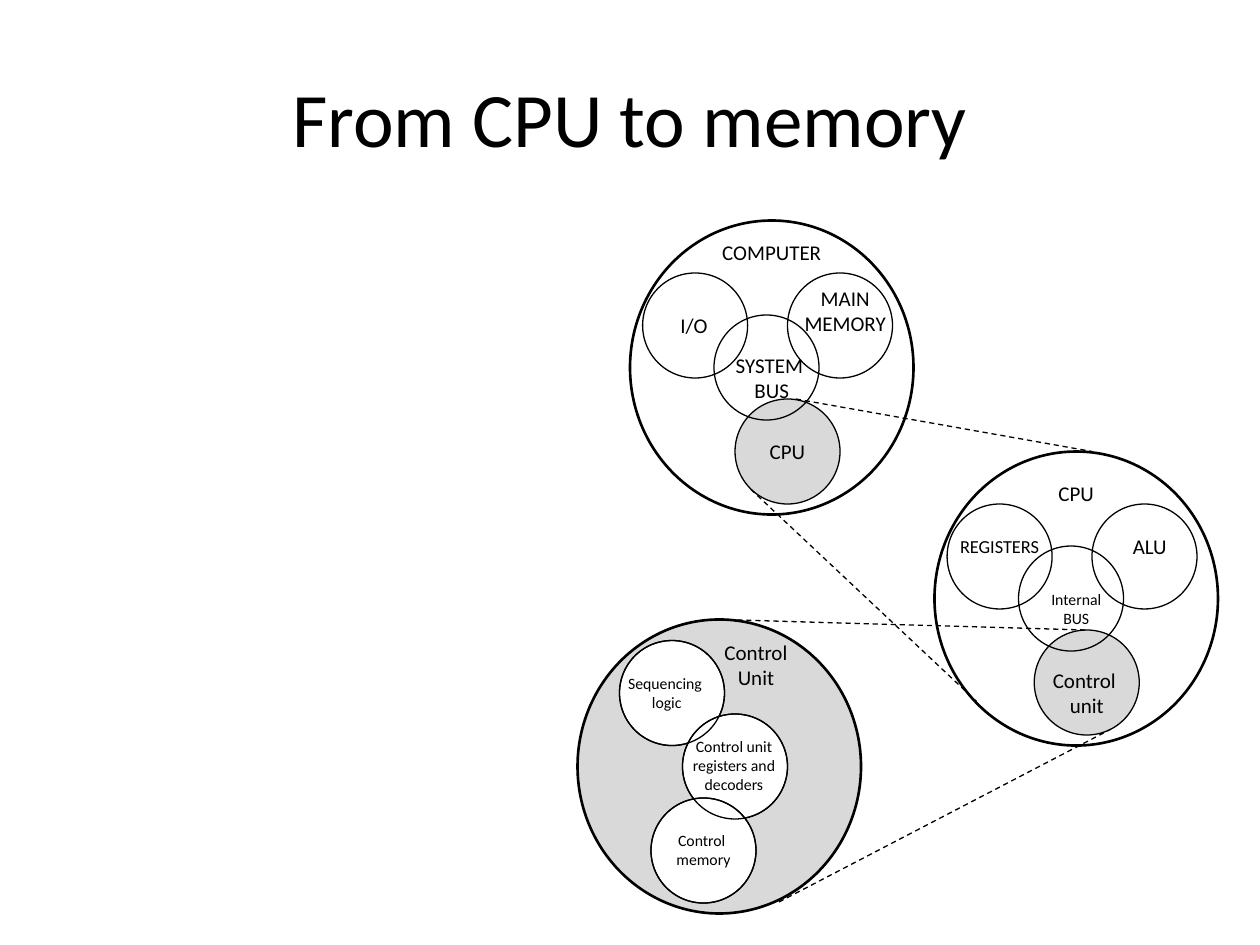
"""Build a slide that zooms from the computer to the CPU and its control unit."""
from lxml import etree
from pptx import Presentation
from pptx.dml.color import RGBColor
from pptx.enum.dml import MSO_LINE
from pptx.enum.shapes import MSO_CONNECTOR, MSO_SHAPE
from pptx.enum.text import MSO_ANCHOR, PP_ALIGN
from pptx.oxml.ns import qn
from pptx.util import Emu, Pt

ELLIPSE = MSO_SHAPE.OVAL
STRAIGHT = MSO_CONNECTOR.STRAIGHT
DASH = MSO_LINE.DASH
MIDDLE = MSO_ANCHOR.MIDDLE
CENTER = PP_ALIGN.CENTER

BLACK = RGBColor(0x00, 0x00, 0x00)
WHITE = RGBColor(0xFF, 0xFF, 0xFF)
GREY = RGBColor(0xD9, 0xD9, 0xD9)

FONT = "Calibri"
EMU_PER_PX = 914400 // 120
SYSTEM_SIZE = (270, 280)
PART_SIZE = (100, 100)
LABEL_SIZE = (130, 20)

COMPUTER_PARTS = [(612, 260, None), (750, 260, None), (700, 380, GREY), (680, 300, None)]
COMPUTER_LABELS = [
    ("COMPUTER", 670, 230, 12),
    ("MAIN MEMORY", 740, 286, 12),
    ("I/O", 596, 300, 12),
    ("SYSTEM \nBUS", 670, 350, 12),
    ("CPU", 685, 420, 12),
]
CPU_PARTS = [(902, 480, None), (1040, 480, None), (985, 600, GREY), (970, 520, None)]
CPU_LABELS = [
    ("CPU", 960, 460, 12),
    ("REGISTERS", 887, 510, 10.5),
    ("Internal\nBUS", 960, 570, 9),
    ("Control \nunit", 970, 650, 12),
    ("ALU", 1030, 510, 12),
]
CONTROL_SPOTS = [(590, 610), (650, 680), (620, 760)]
CONTROL_PARTS = [(*spot, fill) for fill in (WHITE, None) for spot in CONTROL_SPOTS]
CONTROL_LABELS = [
    ("Sequencing \nlogic", 570, 650, 9),
    ("Control unit registers and decoders", 634, 719, 9),
    ("Control \nmemory", 605, 799, 9),
    ("Control\nUnit", 655, 623, 12),
]
CPU_ZOOM = [(758, 380, 1040, 430), (715, 466, 930, 668)]
CONTROL_ZOOM = [(685, 590, 1034, 600), (742, 859, 1057, 695)]


def px(*lengths):
    """Turn pixel lengths into EMU."""
    return [Emu(length * EMU_PER_PX) for length in lengths]


def add_text(page, text, left, top, size=LABEL_SIZE, points=12):
    """Add centred text with one paragraph per line."""
    box = page.shapes.add_textbox(*px(left, top, *size))
    frame = box.text_frame
    frame.word_wrap = True
    frame.vertical_anchor = MIDDLE
    frame.text = text
    for para in frame.paragraphs:
        para.alignment = CENTER
        for span in para.runs:
            span.font.name = FONT
            span.font.size = Pt(points)
            span.font.color.rgb = BLACK


def add_circle(page, left, top, fill=None, size=PART_SIZE, weight=0.75):
    """Add an outlined circle, hollow unless a fill is given."""
    circle = page.shapes.add_shape(ELLIPSE, *px(left, top, *size))
    circle.shadow.inherit = False
    if fill is None:
        circle.fill.background()
    else:
        circle.fill.solid()
        circle.fill.fore_color.rgb = fill
    circle.line.color.rgb = BLACK
    circle.line.width = Pt(weight)


def add_zoom_line(page, ends):
    """Add a dashed line from a part to its enlarged view."""
    line = page.shapes.add_connector(STRAIGHT, *px(*ends))
    line.line.color.rgb = BLACK
    line.line.width = Pt(0.75)
    line.line.dash_style = DASH
    etree.SubElement(line._element.spPr, qn("a:effectLst"))


def add_system(page, left, top, parts, labels, fill=None, zoom=()):
    """Add a large circle with its zoom lines, parts and labels."""
    add_circle(page, left, top, fill, SYSTEM_SIZE, 1.5)
    for ends in zoom:
        add_zoom_line(page, ends)
    for part in parts:
        add_circle(page, *part)
    for text, label_left, label_top, points in labels:
        add_text(page, text, label_left, label_top, points=points)


def main():
    """Build the slide and save it."""
    deck = Presentation()
    deck.slide_width, deck.slide_height = px(1200, 900)
    page = deck.slides.add_slide(deck.slide_layouts[6])
    add_text(page, "From CPU to memory", 60, 36, size=(1080, 150), points=44)
    add_system(page, 600, 210, COMPUTER_PARTS, COMPUTER_LABELS)
    add_system(page, 890, 430, CPU_PARTS, CPU_LABELS, zoom=CPU_ZOOM)
    add_system(page, 550, 590, CONTROL_PARTS, CONTROL_LABELS, fill=GREY, zoom=CONTROL_ZOOM)
    deck.save("out.pptx")


if __name__ == "__main__":
    main()
